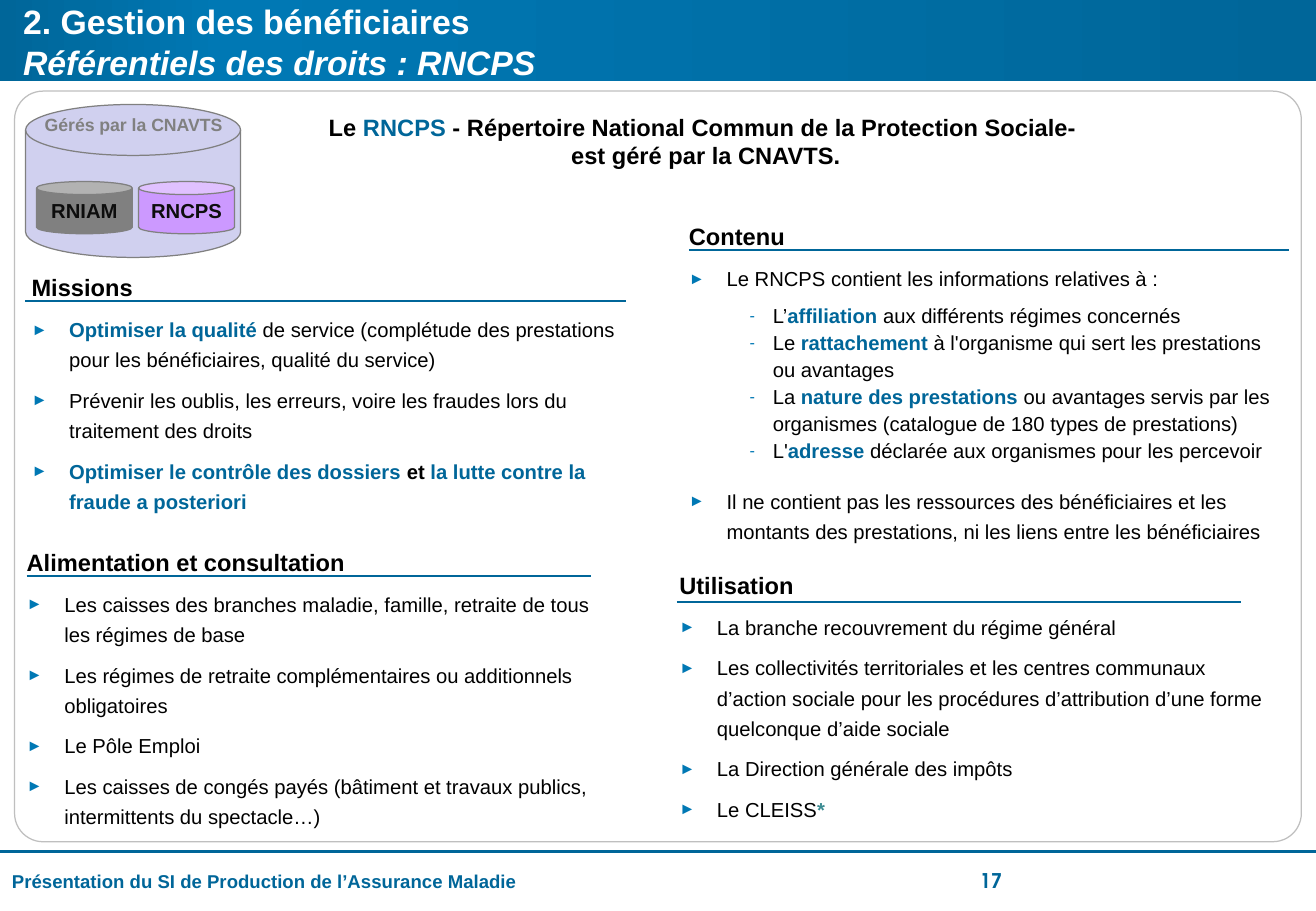
from lxml import etree
from copy import deepcopy
from pptx import Presentation
from pptx.dml.color import RGBColor
from pptx.enum.shapes import MSO_CONNECTOR, MSO_SHAPE
from pptx.enum.text import MSO_ANCHOR, MSO_AUTO_SIZE, PP_ALIGN
from pptx.oxml.ns import qn
from pptx.util import Inches, Pt

LEFT, CENTER = PP_ALIGN.LEFT, PP_ALIGN.CENTER
TOP, MIDDLE = MSO_ANCHOR.TOP, MSO_ANCHOR.MIDDLE
RECT, ROUNDED = MSO_SHAPE.RECTANGLE, MSO_SHAPE.ROUNDED_RECTANGLE
DISK, CAN = MSO_SHAPE.FLOWCHART_MAGNETIC_DISK, MSO_SHAPE.CAN
STRAIGHT = MSO_CONNECTOR.STRAIGHT

BLUE = RGBColor(0x00, 0x66, 0x99)
BRIGHT = RGBColor(0x00, 0x78, 0xB4)
TEAL = RGBColor(0x3C, 0x8C, 0x93)
BLACK = RGBColor(0x00, 0x00, 0x00)
INK = RGBColor(0x0D, 0x0D, 0x0D)
WHITE = RGBColor(0xFF, 0xFF, 0xFF)
SILVER = RGBColor(0xBF, 0xBF, 0xBF)
GREY = RGBColor(0x80, 0x80, 0x80)
LAVENDER = RGBColor(0xA3, 0xA3, 0xE0)
VIOLET = RGBColor(0xCC, 0x99, 0xFF)

# Content: a run is (text, colour, bold); a plain string is black and regular
TITLE = ("2. Gestion des bénéficiaires", "Référentiels des droits : RNCPS")
INTRO = [
    [("Le ", BLACK, True), ("RNCPS ", BLUE, True),
     ("- Répertoire National Commun de la Protection Sociale- ", BLACK, True)],
    [("est géré par la CNAVTS.", BLACK, True)],
]
FOOTER = "Présentation du SI de Production de l’Assurance Maladie"
PAGE = "17"
STORE_LABEL = "Gérés par la CNAVTS"
STORES = [("RNIAM", GREY, 2.77), ("RNCPS", VIOLET, 10.53)]

# Sections, in % of the slide: text left, top, height; rule left, right, top
# An item is (kind, runs)
SECTIONS = [
    ("Missions", (2.4, 29.73, 26.93), (1.94, 47.55, 33.07), [
        ("main", [("Optimiser la qualité ", BLUE, True),
                  "de service (complétude des prestations pour les bénéficiaires, qualité du service)"]),
        ("main", ["Prévenir les oublis, les erreurs, voire les fraudes lors du traitement des droits"]),
        ("main", [("Optimiser le contrôle des dossiers ", BLUE, True), ("et ", BLACK, True),
                  ("la lutte contre la fraude a posteriori", BLUE, True)]),
    ]),
    ("Contenu", (52.35, 24.13, 36.67), (52.35, 97.97, 27.47), [
        ("main", ["Le RNCPS contient les informations relatives à :"]),
        ("sub", ["L’", ("affiliation ", BLUE, True), "aux différents régimes concernés"]),
        ("sub", ["Le ", ("rattachement", BLUE, True),
                 " à l'organisme qui sert les prestations ou avantages"]),
        ("sub", ["La ", ("nature des prestations ", BLUE, True),
                 "ou avantages servis par les organismes (catalogue de 180 types de prestations)"]),
        ("sub", ["L'", ("adresse ", BLUE, True), "déclarée aux organismes pour les percevoir"]),
        ("spaced", ["Il ne contient pas les ressources des bénéficiaires et les montants des "
                    "prestations, ni les liens entre les bénéficiaires"]),
    ]),
    ("Alimentation et consultation", (2.03, 59.87, 31.47), (2.03, 44.88, 63.27), [
        ("main", ["Les caisses des branches maladie, famille, retraite de tous les régimes de base"]),
        ("main", ["Les régimes de retraite complémentaires ou additionnels obligatoires"]),
        ("main", ["Le Pôle Emploi"]),
        ("main", ["Les caisses de congés payés (bâtiment et travaux publics, intermittents du spectacle…)"]),
    ]),
    ("Utilisation", (51.62, 62.4, 28), (51.43, 94.28, 66.07), [
        ("main", ["La branche recouvrement du régime général"]),
        ("main", ["Les collectivités territoriales et les centres communaux d’action sociale pour "
                  "les procédures d’attribution d’une forme quelconque d’aide sociale"]),
        ("main", ["La Direction générale des impôts"]),
        ("main", ["Le CLEISS", ("*", TEAL, True)]),
    ]),
]
SECTION_WIDTH = 45.52
# kind: bullet, indent and hang (inches), line pitch, space before, space after (points)
KINDS = {
    "main": ("►", 0.31, 0.31, 18, 0, 6),
    "sub": ("-", 0.69, 0.19, 16, 0, 0),
    "spaced": ("►", 0.31, 0.31, 18, 12, 6),
}

prs = Presentation()
prs.slide_width, prs.slide_height = Inches(10.83), Inches(7.5)
slide = prs.slides.add_slide(prs.slide_layouts[5])
shapes = slide.shapes


def place(*shares):
    """Turn left, top, width, height in % of the slide into lengths."""
    sides = (prs.slide_width, prs.slide_height) * 2
    return [round(side * share / 100) for side, share in zip(sides, shares)]


def add_run(p, text, size, color=BLACK, bold=False, font="Arial"):
    r = p.add_run()
    r.text = text
    r.font.name, r.font.size, r.font.bold = font, Pt(size), bold
    r.font.color.rgb = color
    return r


def setup(tf, anchor=TOP, margins=(0.1, 0.05, 0.1, 0.05)):
    tf.word_wrap, tf.auto_size, tf.vertical_anchor = True, MSO_AUTO_SIZE.NONE, anchor
    tf.margin_left, tf.margin_top, tf.margin_right, tf.margin_bottom = map(Inches, margins)
    return tf


def add_text(shares, paragraphs, size, align=LEFT, anchor=TOP, font="Arial"):
    tf = setup(shapes.add_textbox(*place(*shares)).text_frame, anchor)
    for i, runs in enumerate(paragraphs):
        p = tf.add_paragraph() if i else tf.paragraphs[0]
        p.alignment = align
        for run in runs:
            add_run(p, *run[:1], size, *run[1:], font=font)


def add_box(kind, shares, fill=None, line=None):
    sp = shapes.add_shape(kind, *place(*shares))
    sp.shadow.inherit = False
    if fill is not None:
        sp.fill.solid()
        sp.fill.fore_color.rgb = fill
    if line is None:
        sp.line.fill.background()
    else:
        sp.line.color.rgb, sp.line.width = line, Pt(0.75)
    return sp


def add_rule(left, right, top, width):
    x1, y, x2, _ = place(left, top, right, top)
    c = shapes.add_connector(STRAIGHT, x1, y, x2, y)
    c.line.color.rgb, c.line.width = BLUE, Pt(width)
    etree.SubElement(c._element.spPr, qn("a:effectLst"))


def add_bullet(p, char, indent, hang):
    pPr = p._p.get_or_add_pPr()
    pPr.set("marL", str(Inches(indent)))
    pPr.set("indent", str(-Inches(hang)))
    color = etree.SubElement(pPr, qn("a:buClr"))
    etree.SubElement(color, qn("a:srgbClr"), val=str(BRIGHT))
    etree.SubElement(pPr, qn("a:buSzPct"), val="80000")
    etree.SubElement(pPr, qn("a:buFont"), typeface="Arial")
    etree.SubElement(pPr, qn("a:buChar"), char=char)


# Footer
add_rule(0, 100, 93.47, 1.5)
add_text((72.48, 95.2, 5.63, 2.93), [[(PAGE, BLUE, True)]], 12, CENTER, MIDDLE, "TeX Gyre Adventor")
add_text((0, 94.8, 65.65, 3.87), [[(FOOTER, BLUE, True)]], 11)

# Title band with a three-stop gradient, and the content frame
band = add_box(RECT, (0, 0, 100, 8.93))
band.fill.gradient()
band.fill.gradient_angle = 0
stop_list = band._element.spPr.find(qn("a:gradFill")).find(qn("a:gsLst"))
stop_list.append(deepcopy(stop_list[-1]))
for stop, (position, color) in zip(band.fill.gradient_stops, [(0, BLUE), (0.17, BRIGHT), (1, BLUE)]):
    stop.position, stop.color.rgb = position, color
frame = add_box(ROUNDED, (1.11, 10, 97.78, 82.4), WHITE, SILVER)
frame.adjustments[0] = 0.038

# Title, brought in front of the band
title = shapes.title
title.left, title.top, title.width, title.height = place(0.83, 0.27, 97.32, 8.53)
shapes._spTree.append(title._element)
p = setup(title.text_frame, MIDDLE).paragraphs[0]
p.alignment = LEFT
add_run(p, TITLE[0], 20, WHITE, True)
p.add_line_break()
add_run(p, TITLE[1], 20, WHITE, True).font.italic = True

# Introduction
add_text((16.62, 12.27, 74.05, 6.4), INTRO, 14, CENTER, MIDDLE)

# Sections: heading, bullets and rule
for heading, (left, top, height), rule, items in SECTIONS:
    box = shapes.add_textbox(*place(left, top, SECTION_WIDTH, height))
    tf = setup(box.text_frame, margins=(0, 0, 0.08, 0))
    p = tf.paragraphs[0]
    p.line_spacing, p.space_after = Pt(18), Pt(6)
    add_run(p, heading, 14, BLACK, True)
    for kind, runs in items:
        char, indent, hang, pitch, before, after = KINDS[kind]
        p = tf.add_paragraph()
        add_bullet(p, char, indent, hang)
        p.line_spacing, p.space_before, p.space_after = Pt(pitch), Pt(before), Pt(after)
        for run in runs:
            text, *style = (run,) if isinstance(run, str) else run
            add_run(p, text, 12, *style)
    add_rule(*rule, 1.25)

# Data stores
disk = add_box(DISK, (1.94, 11.47, 16.34, 16.8), LAVENDER, GREY)
color = disk._element.spPr.find(qn("a:solidFill"))[0]
etree.SubElement(color, qn("a:alpha"), val="50000")
for name, fill, left in STORES:
    can = add_box(CAN, (left, 19.93, 7.29, 5.73), fill, GREY)
    can.adjustments[0] = 0.25
    p = setup(can.text_frame, MIDDLE, (0, 0, 0, 0)).paragraphs[0]
    p.alignment = CENTER
    add_run(p, name, 12, INK, True)
add_text((1.94, 11.87, 16.44, 3.73), [[(STORE_LABEL, GREY, True)]], 10.5, CENTER)

prs.save("out.pptx")
